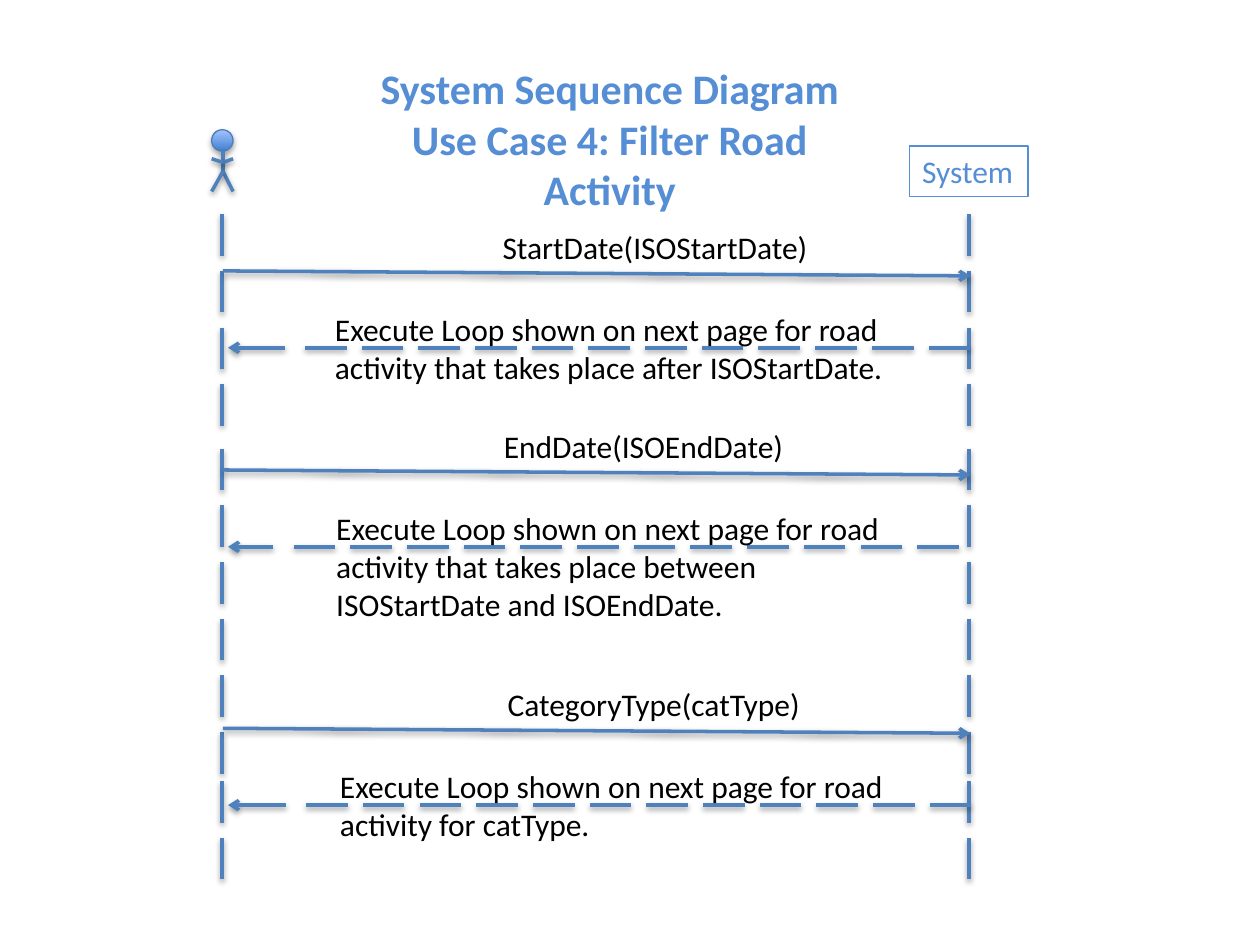
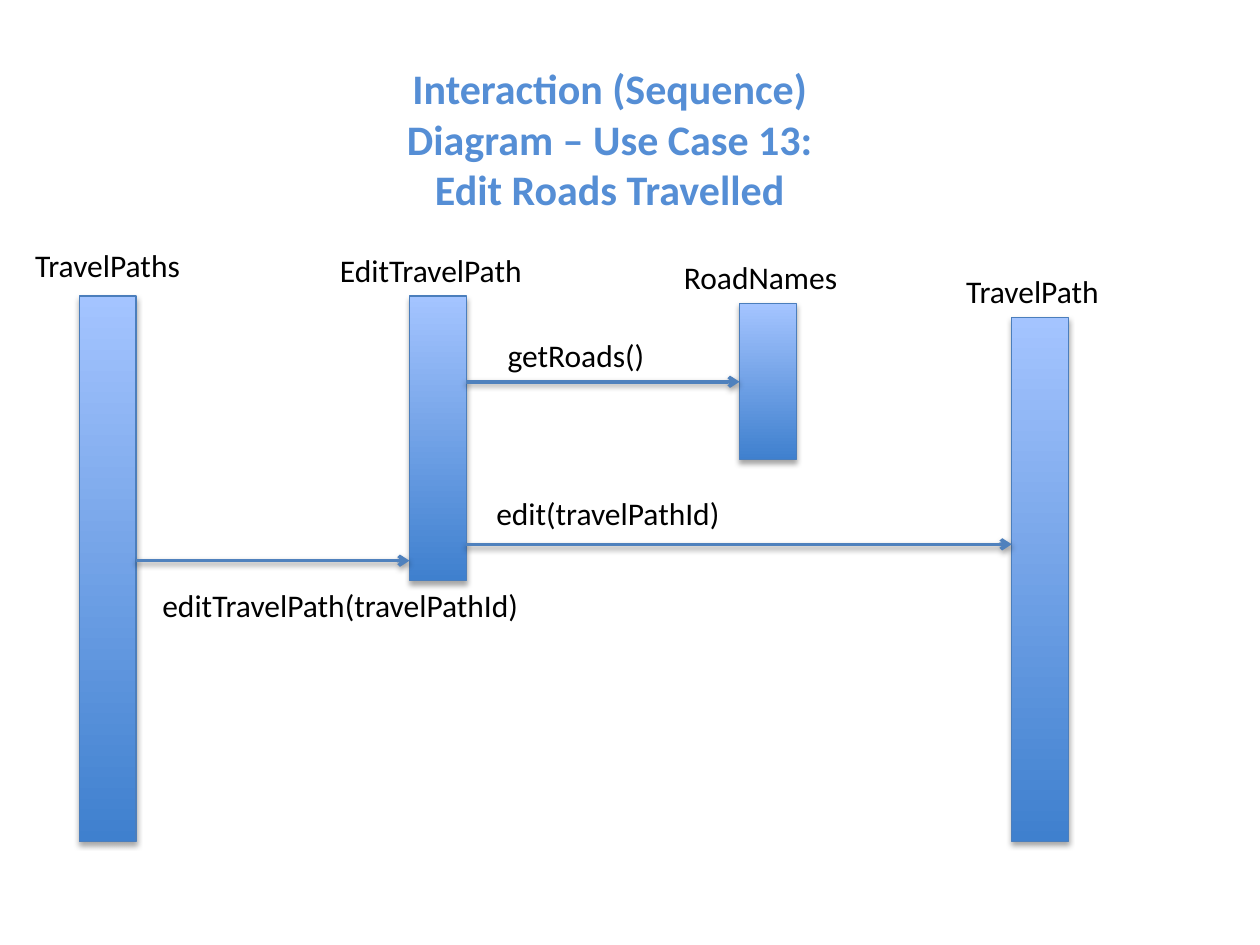
import dataclasses
import typing

import lxml.etree
import pptx
import pptx.dml.color
import pptx.enum.shapes
import pptx.enum.text
import pptx.oxml.ns
import pptx.util

PX = 9144  # EMU in one px: 100 px to the inch
FONT = "Calibri"
ACCENT = "558ED5"
LINE = "4F81BD"
OUTLINE = "4B7EBC"
FILL_DARK = "3F80CE"
FILL_LIGHT = "A4C4FF"
BLACK = "000000"
BODY_PT = 18
DASH = 33
DASH_PITCH = 45
TEXT_HEIGHT = 40


@dataclasses.dataclass
class Label:
    text: str
    left: int
    top: int
    width: int


@dataclasses.dataclass
class Exchange:
    """A call to the system and the dashed reply to it."""
    top: int
    call: str
    call_left: int
    call_width: int
    reply: str
    reply_left: int
    reply_height: int
    reply_start: int


@dataclasses.dataclass
class Activation:
    name: Label
    left: int
    top: int
    height: int


ACTOR_X, SYSTEM_X = 176, 769
LIFELINE_RUNS = [(170, 4), (356, 6), (620, 2)]  # top, number of dashes
LOOP = "Execute Loop shown on next page for road activity "
EXCHANGES = [
    Exchange(215, "StartDate(ISOStartDate)", 389, 266,
             LOOP + "that takes place after ISOStartDate.", 256, 71, 770),
    Exchange(373, "EndDate(ISOEndDate)", 390, 245,
             LOOP + "that takes place between ISOStartDate and ISOEndDate.", 257, 101, 761),
    Exchange(578, "CategoryType(catType)", 393, 258,
             LOOP + "for catType.", 260, 71, 771),
]

BAR_WIDTH = 45
TRAVEL_PATHS = Activation(Label("TravelPaths", 18, 190, 140), 63, 235, 433)
EDIT_PATH = Activation(Label("EditTravelPath", 260, 194, 170), 325, 235, 226)
ROAD_NAMES = Activation(Label("RoadNames", 533, 200, 144), 587, 241, 124)
TRAVEL_PATH = Activation(Label("TravelPath", 757, 211, 130), 803, 252, 416)
CALLS = [
    (TRAVEL_PATHS, EDIT_PATH, 445, Label("editTravelPath(travelPathId)", 119, 460, 311)),
    (EDIT_PATH, ROAD_NAMES, 303, Label("getRoads()", 393, 262, 131)),
    (EDIT_PATH, TRAVEL_PATH, 432, Label("edit(travelPathId)", 384, 387, 201)),
]


def rgb(value: str) -> pptx.dml.color.RGBColor:
    return pptx.dml.color.RGBColor.from_string(value)


def add_child(parent: typing.Any, tag: str, **attributes: str) -> typing.Any:
    return lxml.etree.SubElement(parent, pptx.oxml.ns.qn(tag), attributes)


def cast_shadow(effects: typing.Any, distance: int, opacity: int) -> None:
    """Drop a soft black shadow straight down; distance is in EMU."""
    shadow = add_child(effects, "a:outerShdw", blurRad="40000", dist=str(distance),
                       dir="5400000", rotWithShape="0")
    color = add_child(shadow, "a:srgbClr", val=BLACK)
    add_child(color, "a:alpha", val=str(opacity * 1000))


def draw_line(shapes: typing.Any, x1: int, y1: int, x2: int, y2: int,
              arrow: bool = False) -> typing.Any:
    line = shapes.add_connector(pptx.enum.shapes.MSO_CONNECTOR.STRAIGHT,
                                x1 * PX, y1 * PX, x2 * PX, y2 * PX)
    line.line.color.rgb = rgb(LINE)
    line.line.width = pptx.util.Pt(2)
    properties = line._element.spPr
    if arrow:
        add_child(properties.find(pptx.oxml.ns.qn("a:ln")), "a:tailEnd", type="arrow")
    cast_shadow(add_child(properties, "a:effectLst"), 20000, 38)
    return line


def draw_solid(shapes: typing.Any, kind: typing.Any, left: int, top: int,
               width: int, height: int) -> typing.Any:
    """Draw a preset shape, shaded from light at the top to dark."""
    solid = shapes.add_shape(kind, left * PX, top * PX, width * PX, height * PX)
    solid.fill.gradient()
    solid.fill.gradient_angle = 90
    for stop, color in zip(solid.fill.gradient_stops, (FILL_DARK, FILL_LIGHT)):
        stop.color.rgb = rgb(color)
    solid.line.color.rgb = rgb(OUTLINE)
    solid.line.width = pptx.util.Pt(0.75)
    solid.shadow.inherit = False
    cast_shadow(solid._element.spPr.find(pptx.oxml.ns.qn("a:effectLst")), 23000, 35)
    return solid


def write(slide: typing.Any, paragraphs: list[str], left: int, top: int, width: int,
          height: int = TEXT_HEIGHT, size: int = BODY_PT, color: str = BLACK,
          bold: bool = False, centered: bool = False, wrap: bool = False) -> typing.Any:
    box = slide.shapes.add_textbox(left * PX, top * PX, width * PX, height * PX)
    frame = box.text_frame
    frame.word_wrap = wrap
    frame.auto_size = pptx.enum.text.MSO_AUTO_SIZE.SHAPE_TO_FIT_TEXT
    for index, text in enumerate(paragraphs):
        paragraph = frame.add_paragraph() if index else frame.paragraphs[0]
        if centered:
            paragraph.alignment = pptx.enum.text.PP_ALIGN.CENTER
        run = paragraph.add_run()
        run.text = text
        run.font.name = FONT
        run.font.size = pptx.util.Pt(size)
        run.font.bold = bold
        run.font.color.rgb = rgb(color)
    return box


def write_label(slide: typing.Any, label: Label) -> None:
    write(slide, [label.text], label.left, label.top, label.width)


def add_titled_slide(deck: typing.Any, *title: str) -> typing.Any:
    slide = deck.slides.add_slide(deck.slide_layouts[6])
    write(slide, list(title), 291, 45, 386, 131, 24, ACCENT,
          bold=True, centered=True, wrap=True)
    return slide


def draw_lifeline(slide: typing.Any, x: int) -> None:
    for start, count in LIFELINE_RUNS:
        for index in range(count):
            top = start + index * DASH_PITCH
            draw_line(slide.shapes, x, top, x, top + DASH)


def draw_actor(slide: typing.Any) -> None:
    actor = slide.shapes.add_group_shape().shapes
    draw_solid(actor, pptx.enum.shapes.MSO_SHAPE.OVAL, 168, 103, 17, 17)
    draw_line(actor, 177, 120, 177, 136)
    for side in (185, 168):
        draw_line(actor, 177, 136, side, 152)
        draw_line(actor, 177, 129, side, 126)


def draw_exchange(slide: typing.Any, exchange: Exchange) -> None:
    top = exchange.top
    draw_line(slide.shapes, 177, top, 770, top + 4, arrow=True)
    write(slide, [exchange.call], exchange.call_left, top - 39, exchange.call_width)
    reply_y = top + 61
    dashes = slide.shapes.add_group_shape().shapes
    for index in range(12):
        right = exchange.reply_start - index * DASH_PITCH
        draw_line(dashes, right, reply_y, right - DASH, reply_y)
    draw_line(slide.shapes, exchange.reply_start - 544, reply_y, 181, reply_y, arrow=True)
    write(slide, [exchange.reply], exchange.reply_left, top + 26, 477,
          exchange.reply_height, wrap=True)


def build_system_sequence(deck: typing.Any) -> None:
    slide = add_titled_slide(deck, "System Sequence Diagram",
                             "Use Case 4: Filter Road Activity")
    for x in (ACTOR_X, SYSTEM_X):
        draw_lifeline(slide, x)
    draw_actor(slide)
    system = write(slide, ["System"], 722, 116, 94, color=ACCENT)
    system.line.color.rgb = rgb(ACCENT)
    system.line.width = pptx.util.Pt(0.75)
    for exchange in EXCHANGES:
        draw_exchange(slide, exchange)


def build_interaction(deck: typing.Any) -> None:
    slide = add_titled_slide(
        deck, "Interaction (Sequence) Diagram – Use Case 13: Edit Roads Travelled")
    bars = {}
    for activation in (TRAVEL_PATHS, ROAD_NAMES, EDIT_PATH, TRAVEL_PATH):
        bars[activation.name.text] = draw_solid(
            slide.shapes, pptx.enum.shapes.MSO_SHAPE.RECTANGLE,
            activation.left, activation.top, BAR_WIDTH, activation.height)
        write_label(slide, activation.name)
    for caller, callee, y, label in CALLS:
        call = draw_line(slide.shapes, caller.left + BAR_WIDTH, y, callee.left, y, arrow=True)
        if y == callee.top + callee.height // 2:
            call.end_connect(bars[callee.name.text], 1)
        write_label(slide, label)


def main() -> None:
    deck = pptx.Presentation()
    deck.slide_width = 1000 * PX
    deck.slide_height = 750 * PX
    build_system_sequence(deck)
    build_interaction(deck)
    deck.save("out.pptx")


if __name__ == "__main__":
    main()
